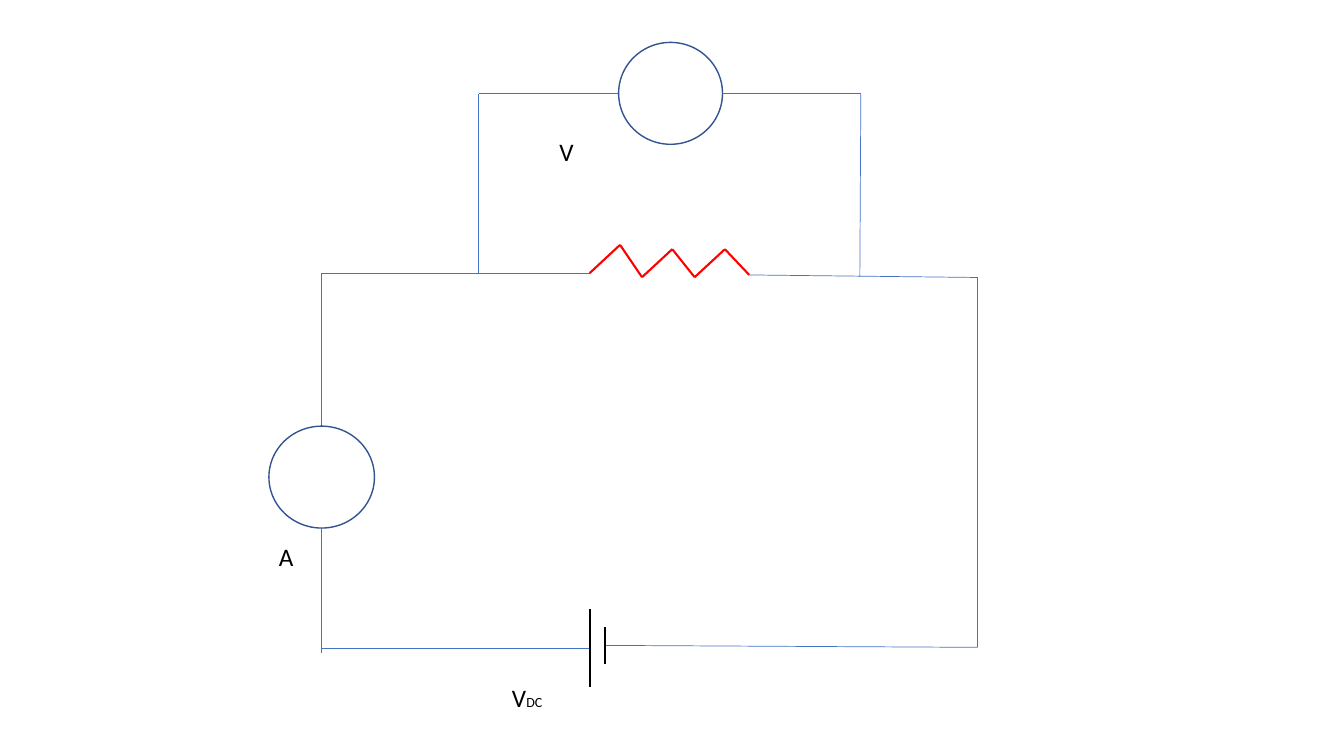
"""Draw a DC circuit with an ammeter, a voltmeter and a resistor."""
from itertools import pairwise
from typing import NamedTuple

from lxml.etree import SubElement
from pptx import Presentation
from pptx.dml.color import RGBColor as Rgb
from pptx.enum.shapes import MSO_CONNECTOR as Link, MSO_SHAPE as Form
from pptx.oxml.ns import qn
from pptx.util import Pt

BLUE, NAVY, RED, BLACK, WHITE = "4472C4", "325491", "FF0000", "000000", "FFFFFF"


class Route(NamedTuple):
    """A chain of straight lines through points."""
    points: list[tuple[float, float]]
    color: str = BLUE
    width: float = 0.5


class Meter(NamedTuple):
    """A round meter given by its box."""
    left: float
    top: float
    width: float
    height: float


class Label(NamedTuple):
    """A text with an optional small suffix."""
    left: float
    top: float
    text: str
    suffix: str = ""


def paint(target, color: str) -> None:
    """Set a solid colour on a fill."""
    target.solid()
    target.fore_color.rgb = Rgb.from_string(color)


def draw_route(shapes, route: Route) -> None:
    """Join each pair of neighbouring points."""
    for start, end in pairwise(route.points):
        line = shapes.add_connector(Link.STRAIGHT, *map(Pt, start + end))
        paint(line.line.fill, route.color)
        line.line.width = Pt(route.width)
        SubElement(line._element.spPr, qn("a:effectLst"))


def draw_meter(shapes, meter: Meter) -> None:
    """Draw a white circle with a dark outline."""
    circle = shapes.add_shape(Form.OVAL, *map(Pt, meter))
    circle.shadow.inherit = False
    paint(circle.fill, WHITE)
    paint(circle.line.fill, NAVY)
    circle.line.width = Pt(1)


def add_text(para, text: str, *, size: float = 18, color: str = BLACK,
             font: str = "Calibri") -> None:
    """Add a formatted run to a paragraph."""
    run = para.add_run()
    run.text = text
    run.font.name = font
    run.font.size = Pt(size)
    paint(run.font.fill, color)


def draw_label(shapes, label: Label) -> None:
    """Place a label in a wrapping text box."""
    box = shapes.add_textbox(Pt(label.left), Pt(label.top), Pt(99.4), Pt(29))
    box.text_frame.word_wrap = True
    para = box.text_frame.paragraphs[0]
    add_text(para, label.text)
    if label.suffix:
        add_text(para, label.suffix, size=10)


LEFT, RIGHT, TAP_L, TAP_R = 229.7, 698.4, 342, 614.9
LONG, SHORT = 421.2, 432
TOP, UPPER, LOWER = 67, 195.1, 463

ROUTES = [
    Route([(LONG, UPPER), (LEFT, UPPER), (LEFT, 304.6)]),
    Route([(TAP_L, UPPER), (TAP_L, TOP), (442.1, TOP)]),
    Route([(515.6, TOP), (TAP_R, TOP), (614.2, 197.6)]),
    Route([(LONG, UPPER), (442.9, 174.9), (458.6, 198), (480.2, 178),
           (496.2, 198), (517.8, 178), (535.2, 196.4)], RED, 1.5),
    Route([(535.2, 196.4), (RIGHT, 198.2), (RIGHT, 462.4), (SHORT, 461)]),
    Route([(LEFT, 377.3), (LEFT, 466.5)]),
    Route([(LEFT, LOWER), (LONG, LOWER)]),
    Route([(LONG, 490.7), (LONG, 435.2)], BLACK, 1.5),
    Route([(SHORT, 474.2), (SHORT, 447.8)], BLACK, 1.5),
]
METERS = [Meter(192.1, 304.4, 75.4, 72.8), Meter(441.9, 30.3, 74.2, 72.8)]
LABELS = [Label(392.4, 93.6, "V"), Label(192.2, 383, "A"),
          Label(358.6, 483.8, "V", "DC")]


def main() -> None:
    """Build and save the slide."""
    deck = Presentation()
    deck.slide_width, deck.slide_height = Pt(960), Pt(540)
    shapes = deck.slides.add_slide(deck.slide_layouts[6]).shapes
    for draw, items in ((draw_route, ROUTES), (draw_meter, METERS),
                        (draw_label, LABELS)):
        for item in items:
            draw(shapes, item)
    deck.save("out.pptx")


main()
